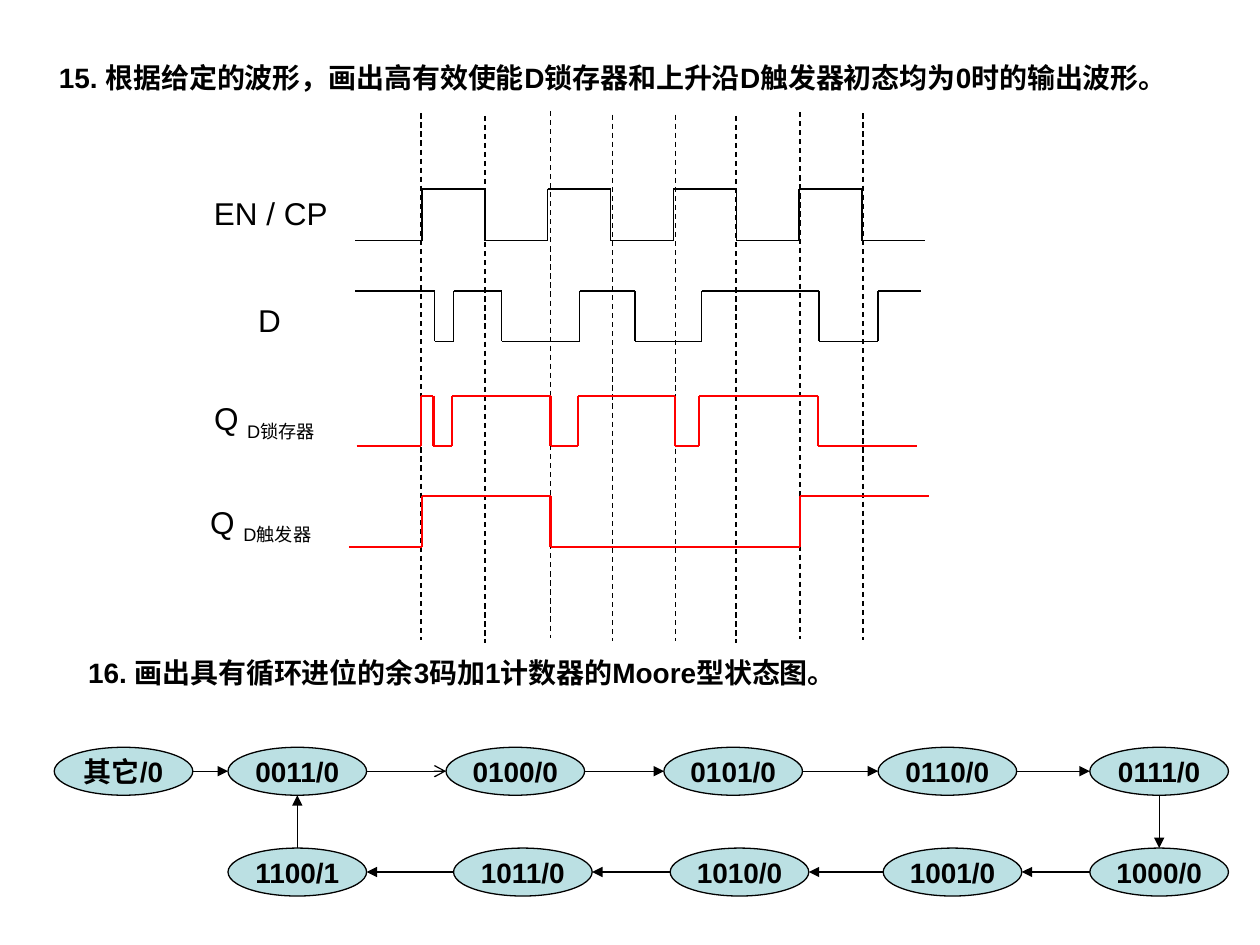
import dataclasses
import itertools

import pptx
import pptx.dml.color
import pptx.enum.dml
import pptx.enum.shapes
import pptx.enum.text
import pptx.oxml.ns
import pptx.util
from lxml import etree

Pt = pptx.util.Pt
qn = pptx.oxml.ns.qn


@dataclasses.dataclass(frozen=True)
class Theme:
    font: str = "Arial"
    ink: str = "000000"
    answer: str = "FF0000"
    state_fill: str = "BBE0E3"
    heading_size: float = 16
    label_size: float = 18
    thin: float = 0.75
    thick: float = 1.25


THEME = Theme()

# Dashed time marks: x, top
MARK_LENGTH = 301
TIME_MARKS = [(240.5, 64.8), (277.2, 66.2), (314.6, 63.4), (349.9, 65.5),
              (385.9, 65.5), (420.5, 66.2), (457.2, 64.1), (493.2, 64.8)]

# Waveforms: start x, end x, high y, low y, starts high, edges, colour, width
CLOCK_EDGES = [241.2 + 35.9 * index for index in range(8)]
D_EDGES = [248.4, 259.2, 286.6, 331.2, 362.9, 401, 468, 501.8]
LATCH_EDGES = [240.5, 247.7, 258.5, 314.6, 330.5, 385.9, 399.6, 467.3]
FLIP_FLOP_EDGES = [241.2, 314.6, 457.2]
WAVES = [
    (203, 528.5, 108, 137.5, False, CLOCK_EDGES, THEME.ink, THEME.thin),
    (203, 526.3, 166.3, 195.1, True, D_EDGES, THEME.ink, THEME.thin),
    (203.8, 524.2, 226.1, 255, False, LATCH_EDGES, THEME.answer, THEME.thick),
    (199.4, 530.6, 283.5, 312.8, False, FLIP_FLOP_EDGES, THEME.answer, THEME.thick),
]

# Signal labels: text, subscript, left, top, width, height
LABELS = [
    ("EN / CP", "", 115.2, 107.3, 86.4, 28.8),
    ("D", "", 140.4, 168.5, 36, 28.8),
    ("Q ", "D锁存器", 115.2, 224.6, 87.1, 31.7),
    ("Q ", "D触发器", 113, 283.7, 87.1, 31.7),
]

# States: name and left edge, in counting order from 0011
STATE_WIDTH, STATE_HEIGHT = 79.2, 27.4
UPPER_TOP, LOWER_TOP = 427, 484.6
UPPER_STATES = [("其它/0", 31), ("0011/0", 130.3), ("0100/0", 254.9),
                ("0101/0", 379.4), ("0110/0", 501.8), ("0111/0", 622.8)]
LOWER_STATES = [("1000/0", 622.8), ("1001/0", 504.7), ("1010/0", 383),
                ("1011/0", 259.2), ("1100/1", 130.3)]


def rgb(value):
    return pptx.dml.color.RGBColor.from_string(value)


def style_text(shape, size, bold=False, inset=(7.2, 3.6), space=10):
    frame = shape.text_frame
    frame.word_wrap = True
    frame.margin_left = frame.margin_right = Pt(inset[0])
    frame.margin_top = frame.margin_bottom = Pt(inset[1])
    paragraph = frame.paragraphs[0]
    paragraph.space_before = Pt(space)
    paragraph.font.name = THEME.font
    paragraph.font.size = Pt(size)
    paragraph.font.bold = bold
    paragraph.font.color.rgb = rgb(THEME.ink)
    return paragraph


def add_heading(slide, text, left, top, width, height):
    shape = slide.shapes.add_textbox(Pt(left), Pt(top), Pt(width), Pt(height))
    style_text(shape, THEME.heading_size, bold=True).add_run().text = text


def add_label(slide, text, subscript, left, top, width, height):
    shape = slide.shapes.add_textbox(Pt(left), Pt(top), Pt(width), Pt(height))
    paragraph = style_text(shape, THEME.label_size, space=11.2)
    paragraph.add_run().text = text
    if subscript:
        run = paragraph.add_run()
        run.text = subscript
        run._r.get_or_add_rPr().set("baseline", "-25000")


def add_line(slide, start, end, color=THEME.ink, width=THEME.thin, dashed=False, head=None):
    line = slide.shapes.add_connector(
        pptx.enum.shapes.MSO_CONNECTOR.STRAIGHT, *map(Pt, (*start, *end)))
    line.line.color.rgb = rgb(color)
    line.line.width = Pt(width)
    if dashed:
        line.line.dash_style = pptx.enum.dml.MSO_LINE.DASH
    if head:
        etree.SubElement(line.line._get_or_add_ln(), qn("a:tailEnd"), type=head)
    etree.SubElement(line._element.spPr, qn("a:effectLst"))


def add_wave(slide, start, end, high, low, is_high, edges, color, width):
    level = high if is_high else low
    points = [(start, level)]
    for edge in edges:
        points.append((edge, level))
        level = low if level == high else high
        points.append((edge, level))
    points.append((end, level))
    for first, second in itertools.pairwise(points):
        add_line(slide, first, second, color, width)


def add_state(slide, name, left, top):
    shape = slide.shapes.add_shape(
        pptx.enum.shapes.MSO_SHAPE.OVAL,
        Pt(left), Pt(top), Pt(STATE_WIDTH), Pt(STATE_HEIGHT))
    shape.shadow.inherit = False
    shape.fill.solid()
    shape.fill.fore_color.rgb = rgb(THEME.state_fill)
    shape.line.color.rgb = rgb(THEME.ink)
    shape.line.width = Pt(THEME.thin)
    paragraph = style_text(shape, THEME.heading_size, bold=True, inset=(0, 0))
    paragraph.alignment = pptx.enum.text.PP_ALIGN.CENTER
    paragraph.add_run().text = name
    shape.text_frame.vertical_anchor = pptx.enum.text.MSO_ANCHOR.MIDDLE


def add_state_row(slide, states, top):
    middle = top + STATE_HEIGHT / 2
    for name, left in states:
        add_state(slide, name, left, top)
    for (name, left), (_, following) in itertools.pairwise(states):
        if following > left:
            start, end = left + STATE_WIDTH, following
        else:
            start, end = left, following + STATE_WIDTH
        head = "arrow" if name == "0011/0" else "triangle"
        add_line(slide, (start, middle), (end, middle), head=head)


def main():
    presentation = pptx.Presentation()
    presentation.slide_width, presentation.slide_height = Pt(720), Pt(540)
    slide = presentation.slides.add_slide(presentation.slide_layouts[6])

    # Question 15: timing diagram
    add_heading(slide, "15. 根据给定的波形，画出高有效使能D锁存器和上升沿D触发器初态均为0时的输出波形。",
                26.6, 31, 657.4, 46)
    for x, top in TIME_MARKS:
        add_line(slide, (x, top), (x, top + MARK_LENGTH), dashed=True)
    for label in LABELS:
        add_label(slide, *label)
    for wave in WAVES:
        add_wave(slide, *wave)

    # Question 16: state diagram
    add_heading(slide, "16. 画出具有循环进位的余3码加1计数器的Moore型状态图。",
                43.2, 370.8, 514, 26.6)
    add_state_row(slide, UPPER_STATES, UPPER_TOP)
    add_state_row(slide, LOWER_STATES, LOWER_TOP)

    # Vertical transitions that close the loop
    right = UPPER_STATES[-1][1] + STATE_WIDTH / 2
    left = LOWER_STATES[-1][1] + STATE_WIDTH / 2
    upper_bottom = UPPER_TOP + STATE_HEIGHT
    add_line(slide, (right, upper_bottom), (right, LOWER_TOP), head="triangle")
    add_line(slide, (left, LOWER_TOP), (left, upper_bottom), head="triangle")

    presentation.save("out.pptx")


if __name__ == "__main__":
    main()
